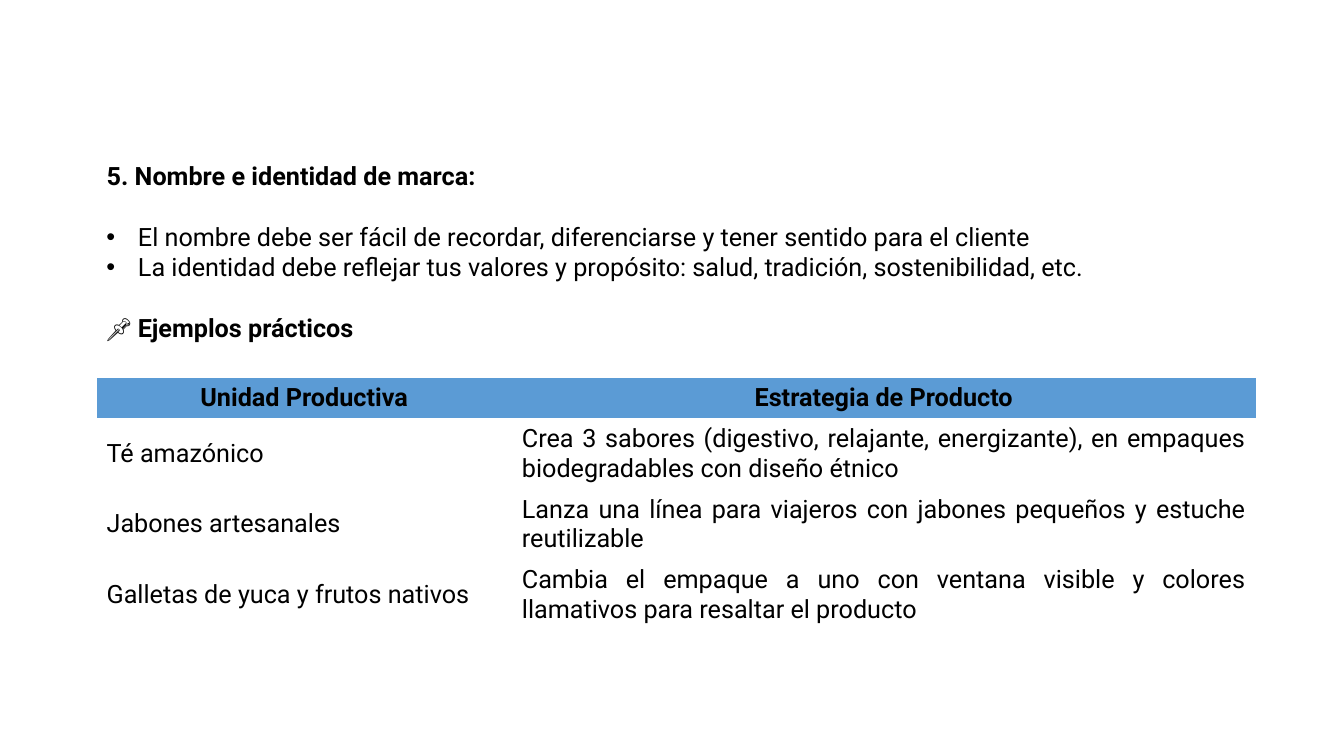
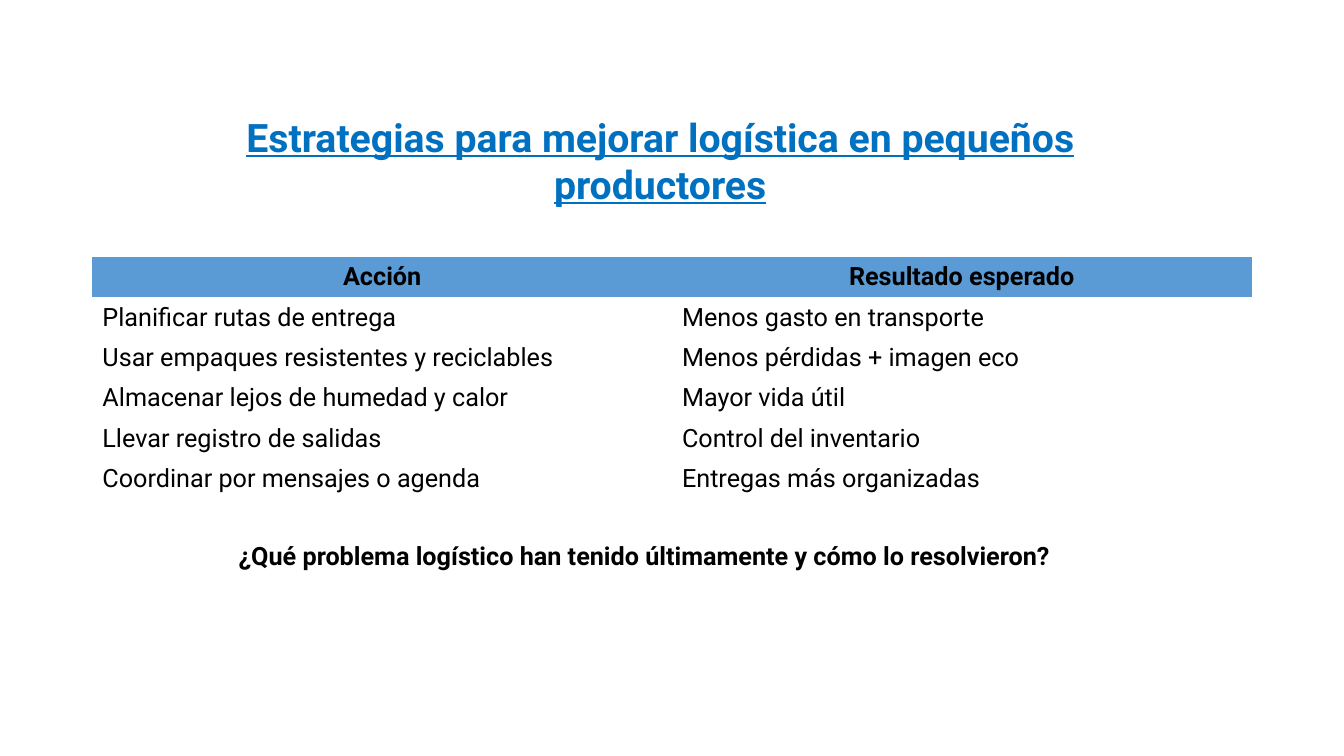
from pptx import Presentation
from pptx.dml.color import RGBColor
from pptx.enum import text as t
from pptx.oxml import parse_xml
from pptx.oxml.ns import nsdecls, qn
from pptx.util import Pt

INK = {"text": "000000", "title": "0070C0", "head": "5B9BD5"}
FONT = "Roboto"
PLAIN = "{2D5ABB26-0587-4C30-8999-92F81FD0307C}"
LEFT, MID, JUST = t.PP_ALIGN.LEFT, t.PP_ALIGN.CENTER, t.PP_ALIGN.JUSTIFY


def style(para, align=LEFT, bold=False, size=18, ink="text"):
    para.alignment = align
    para.line_spacing = 1.0
    for run in para.runs:
        font = run.font
        font.name, font.size, font.bold = FONT, Pt(size), bold
        font.color.rgb = RGBColor.from_string(INK[ink])


deck = Presentation()
deck.slide_width, deck.slide_height = Pt(960), Pt(540)

pages = [
    {
        "title": "5. Nombre e identidad de marca:",
        "spot": (69, 110.6, 782.6, 28.8),
        "look": {"align": JUST, "bold": True},
        "line": False,
        "box": (69, 154.6, 782.6, 94.5),
        "body": [
            ("El nombre debe ser fácil de recordar, diferenciarse y tener sentido para el cliente", True),
            ("La identidad debe reflejar tus valores y propósito: salud, tradición, sostenibilidad, etc.", True),
            ("📌 Ejemplos prácticos", False),
        ],
        "grid": (69, 270),
        "cols": (296.6, 531.4),
        "high": 50.4,
        "align": JUST,
        "rows": [
            ("Unidad Productiva", "Estrategia de Producto"),
            ("Té amazónico", "Crea 3 sabores (digestivo, relajante, energizante), en empaques biodegradables con diseño étnico"),
            ("Jabones artesanales", "Lanza una línea para viajeros con jabones pequeños y estuche reutilizable"),
            ("Galletas de yuca y frutos nativos", "Cambia el empaque a uno con ventana visible y colores llamativos para resaltar el producto"),
        ],
    },
    {
        "title": "Estrategias para mejorar logística en pequeños productores",
        "spot": (146.9, 77, 649.4, 75),
        "look": {"align": MID, "bold": True, "size": 28, "ink": "title"},
        "line": True,
        "box": (163.4, 382.3, 632.9, 28.8),
        "body": [("¿Qué problema logístico han tenido últimamente y cómo lo resolvieron?", False)],
        "grid": (66, 183.6),
        "cols": (414, 414),
        "high": 28.8,
        "align": LEFT,
        "rows": [
            ("Acción", "Resultado esperado"),
            ("Planificar rutas de entrega", "Menos gasto en transporte"),
            ("Usar empaques resistentes y reciclables", "Menos pérdidas + imagen eco"),
            ("Almacenar lejos de humedad y calor", "Mayor vida útil"),
            ("Llevar registro de salidas", "Control del inventario"),
            ("Coordinar por mensajes o agenda", "Entregas más organizadas"),
        ],
    },
]

for page in pages:
    slide = deck.slides.add_slide(deck.slide_layouts[5])

    title = slide.shapes.title
    title.left, title.top, title.width, title.height = map(Pt, page["spot"])
    frame = title.text_frame
    frame.text = page["title"]
    frame.auto_size = t.MSO_AUTO_SIZE.NONE
    frame.vertical_anchor = t.MSO_ANCHOR.TOP
    style(frame.paragraphs[0], **page["look"])
    frame.paragraphs[0].runs[0].font.underline = page["line"]

    frame = slide.shapes.add_textbox(*map(Pt, page["box"])).text_frame
    frame.word_wrap = True
    frame.text = "\n".join(words for words, _ in page["body"])
    for para, (_, dot) in zip(frame.paragraphs, page["body"]):
        style(para, page["align"], not dot)
        if dot:
            props = para._p.get_or_add_pPr()
            props.set("marL", str(Pt(22.5)))
            props.set("indent", str(Pt(-22.5)))
            props.append(parse_xml(f'<a:buFont {nsdecls("a")} typeface="Arial"/>'))
            props.append(parse_xml(f'<a:buChar {nsdecls("a")} char="•"/>'))
        elif len(page["body"]) > 1:
            para.space_before = Pt(22)

    rows, cols = page["rows"], page["cols"]
    size = (sum(cols), 28.8 + page["high"] * (len(rows) - 1))
    grid = slide.shapes.add_table(len(rows), len(cols), *map(Pt, page["grid"] + size)).table
    grid._tbl.tblPr.find(qn("a:tableStyleId")).text = PLAIN
    grid.first_row = grid.horz_banding = False
    for col, wide in zip(grid.columns, cols):
        col.width = Pt(wide)
    for r, row in enumerate(rows):
        head = r == 0
        grid.rows[r].height = Pt(28.8 if head else page["high"])
        for c, words in enumerate(row):
            cell = grid.cell(r, c)
            cell.text_frame.text = words
            cell.vertical_anchor = t.MSO_ANCHOR.MIDDLE
            style(cell.text_frame.paragraphs[0], MID if head else page["align"], head)
            if head:
                cell.fill.solid()
                cell.fill.fore_color.rgb = RGBColor.from_string(INK["head"])
            else:
                cell.fill.background()

deck.save("out.pptx")
